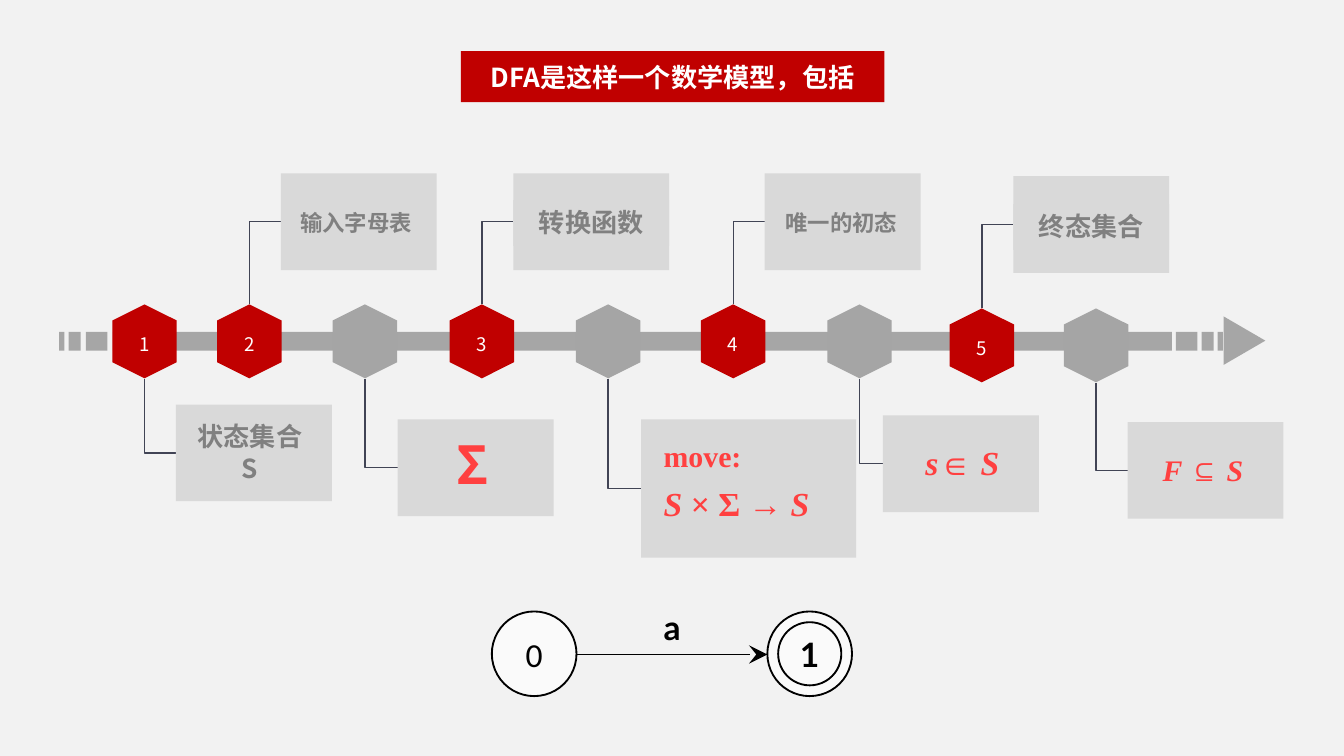
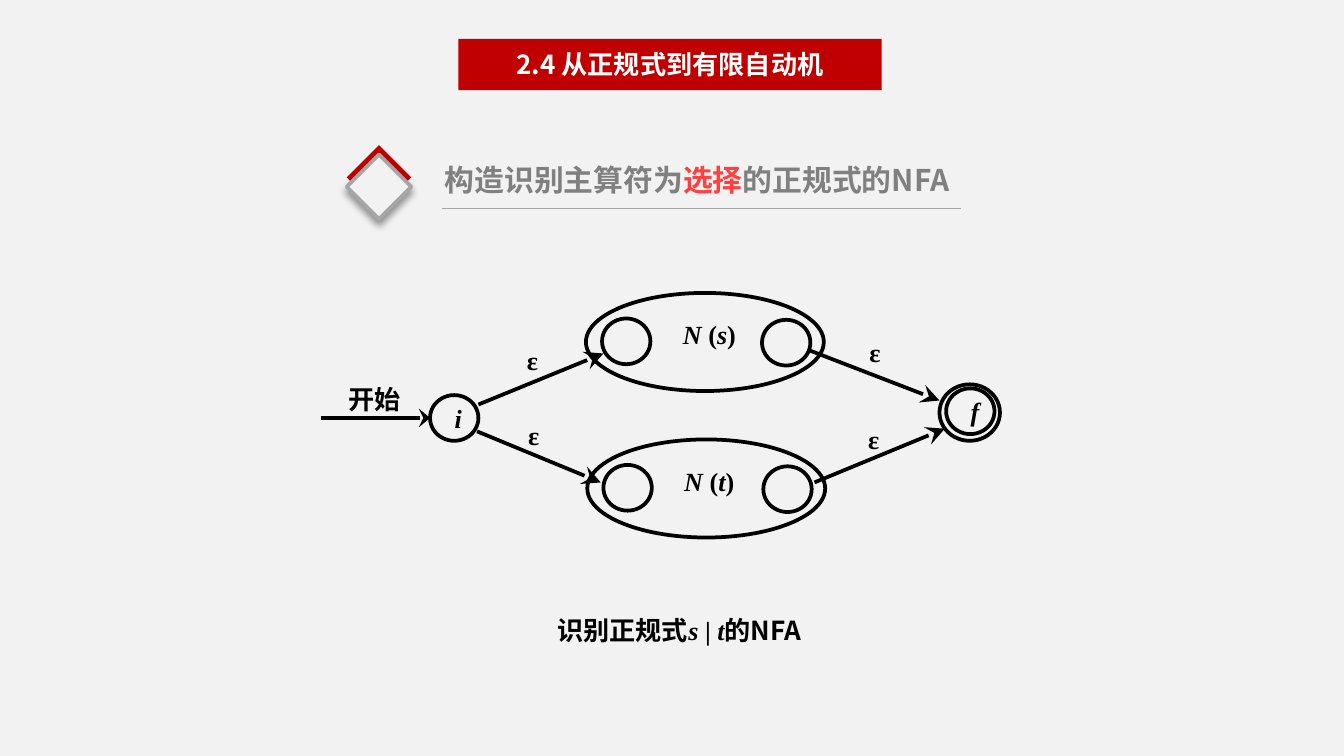
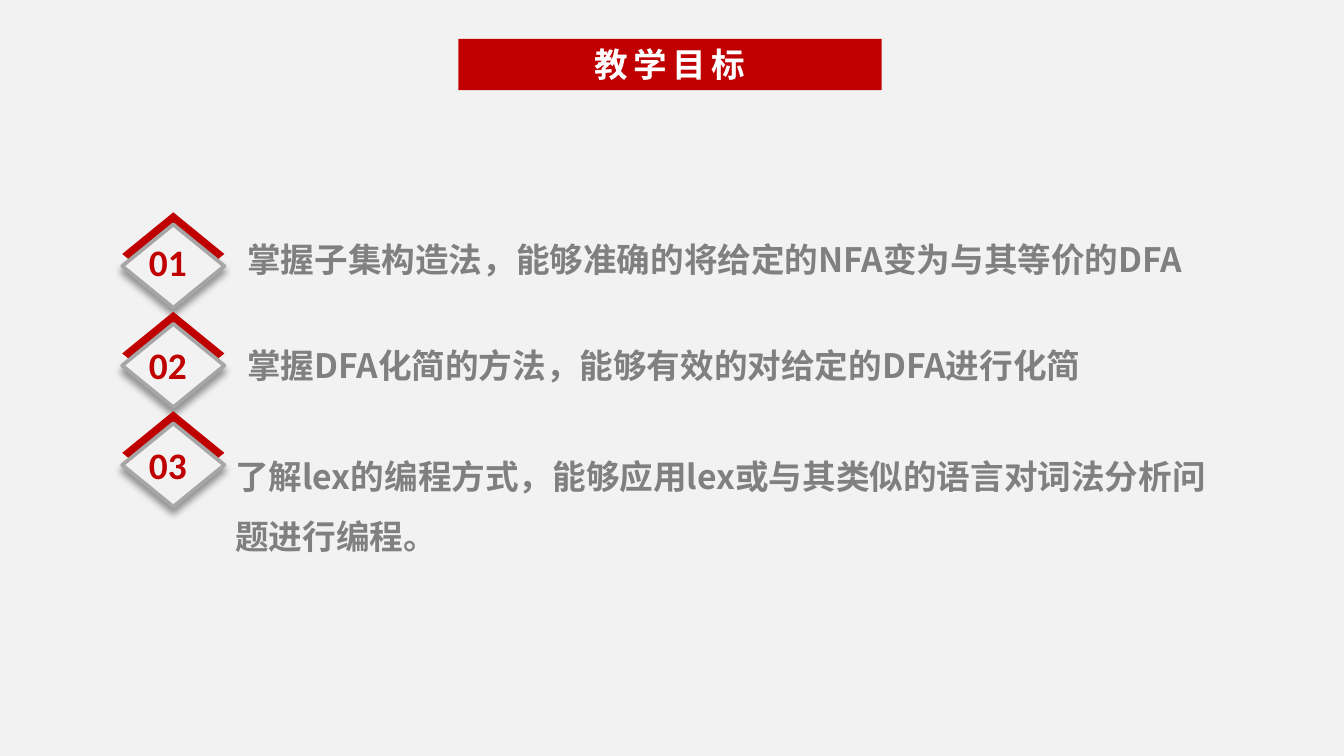
"""Build three lecture slides on finite automata and the goals of the chapter."""
from dataclasses import dataclass, field
from typing import Any, NamedTuple, Optional

from lxml import etree
from pptx import Presentation
from pptx.dml.color import RGBColor
from pptx.enum.shapes import MSO_CONNECTOR, MSO_SHAPE
from pptx.enum.text import MSO_ANCHOR, PP_ALIGN
from pptx.oxml.ns import qn
from pptx.util import Inches, Pt

COLORS = {
    "background": "F2F2F2", "red": "C00000", "accent": "FF4040", "text": "808080",
    "panel": "D9D9D9", "bar": "A6A6A6", "hexagon": "A5A5A5", "elbow": "414455",
    "state": "FAFAFA", "black": "000000", "white": "FFFFFF",
}
CHINESE, SERIF, SANS, ROUND = "Noto Sans CJK SC", "Times New Roman", "Calibri", "Lato"
RECTANGLE, OVAL = MSO_SHAPE.RECTANGLE, MSO_SHAPE.OVAL
HEXAGON, DIAMOND = MSO_SHAPE.HEXAGON, MSO_SHAPE.FLOWCHART_DECISION
TRIANGLE = MSO_SHAPE.ISOSCELES_TRIANGLE
STRAIGHT, ELBOW = MSO_CONNECTOR.STRAIGHT, MSO_CONNECTOR.ELBOW
LEFT, CENTER, JUSTIFY = PP_ALIGN.LEFT, PP_ALIGN.CENTER, PP_ALIGN.JUSTIFY
TOP, MIDDLE = MSO_ANCHOR.TOP, MSO_ANCHOR.MIDDLE
TEXT_INSETS = (0.1, 0.05, 0.1, 0.05)
TITLE_INSETS = (0.07, 0.04, 0.07, 0.04)
LABEL_INSETS = (0.06, 0.03, 0.06, 0.03)


class Box(NamedTuple):
    """Left, top, width and height in inches."""
    left: float
    top: float
    width: float
    height: float


class Run(NamedTuple):
    """A piece of text and its font values."""
    text: str
    font: dict[str, Any]


@dataclass
class Text:
    """Paragraphs of runs and how they are set in their box."""
    paragraphs: list[list[Run]]
    alignment: PP_ALIGN = CENTER
    anchor: MSO_ANCHOR = TOP
    insets: tuple[float, float, float, float] = TEXT_INSETS
    paragraph_format: dict[str, Any] = field(default_factory=dict)
    spacing: int = 0


@dataclass
class Stage:
    """A hexagon on the timeline with its number, panel and caption."""
    left: float
    panel: Box
    caption_box: Box
    caption: Text
    number: str = ""
    top: float = 2.3


def font(name: str, size: float, color: str, bold: bool = True,
         italic: bool = False) -> dict[str, Any]:
    """Return font values for a run."""
    return {"name": name, "size": Pt(size), "bold": bold, "italic": italic, "color": color}


def plain(text: str, values: dict[str, Any], **options: Any) -> Text:
    """Return a text of one run."""
    return Text([[Run(text, values)]], **options)


def formula(pieces: list[str], size: float, color: str) -> list[Run]:
    """Return serif runs that alternate between italic and upright."""
    return [Run(piece, font(SERIF, size, color, italic=index % 2 == 0))
            for index, piece in enumerate(pieces)]


def rgb(name: str) -> RGBColor:
    """Return a named colour."""
    return RGBColor.from_string(COLORS[name])


def write_text(shape: Any, text: Text) -> None:
    """Fill a shape with formatted paragraphs."""
    frame = shape.text_frame
    frame_format = {"word_wrap": True, "vertical_anchor": text.anchor}
    sides = ("margin_left", "margin_top", "margin_right", "margin_bottom")
    frame_format.update(zip(sides, map(Inches, text.insets)))
    for name, value in frame_format.items():
        setattr(frame, name, value)
    for index, runs in enumerate(text.paragraphs):
        paragraph = frame.add_paragraph() if index else frame.paragraphs[0]
        paragraph.alignment = text.alignment
        for name, value in text.paragraph_format.items():
            if index or name != "space_before":
                setattr(paragraph, name, value)
        for piece in runs:
            run = paragraph.add_run()
            run.text = piece.text
            for name, value in piece.font.items():
                if name == "color":
                    run.font.color.rgb = rgb(value)
                else:
                    setattr(run.font, name, value)
            properties = run._r.get_or_add_rPr()
            etree.SubElement(properties, qn("a:ea"), typeface=piece.font["name"])
            if text.spacing:
                properties.set("spc", str(text.spacing))


def add_shape(slide: Any, kind: MSO_SHAPE, box: Box, fill: Optional[str] = None,
              line: Optional[str] = None, width: float = 1,
              text: Optional[Text] = None, rotation: float = 0) -> Any:
    """Draw a preset shape."""
    shape = slide.shapes.add_shape(kind, *map(Inches, box))
    shape.shadow.inherit = False
    shape.rotation = rotation
    if fill:
        shape.fill.solid()
        shape.fill.fore_color.rgb = rgb(fill)
    else:
        shape.fill.background()
    if line:
        shape.line.color.rgb = rgb(line)
        shape.line.width = Pt(width)
    else:
        shape.line.fill.background()
    if text:
        write_text(shape, text)
    return shape


def add_text(slide: Any, box: Box, text: Text) -> None:
    """Draw a text box."""
    write_text(slide.shapes.add_textbox(*map(Inches, box)), text)


def add_line(slide: Any, start: tuple[float, float], end: tuple[float, float],
             color: str = "black", width: float = 2, arrow_length: str = "lg",
             kind: MSO_CONNECTOR = STRAIGHT) -> Any:
    """Draw a connector, with an arrowhead unless its length is empty."""
    connector = slide.shapes.add_connector(kind, *map(Inches, (*start, *end)))
    connector.line.color.rgb = rgb(color)
    connector.line.width = Pt(width)
    properties = connector._element.spPr
    if arrow_length:
        etree.SubElement(properties.find(qn("a:ln")), qn("a:tailEnd"),
                         type="stealth", w="lg", len=arrow_length)
    etree.SubElement(properties, qn("a:effectLst"))
    return connector


def add_elbow(slide: Any, start: tuple[float, float], end: tuple[float, float]) -> None:
    """Draw a line that goes up or down and then turns right."""
    connector = add_line(slide, start, end, "elbow", 0.75, "", ELBOW)
    run, rise = end[0] - start[0], abs(end[1] - start[1])
    connector.left = Inches((start[0] + end[0] - rise) / 2)
    connector.top = Inches((start[1] + end[1] - run) / 2)
    connector.width, connector.height = Inches(rise), Inches(run)
    upward = end[1] < start[1]
    properties = connector._element.spPr
    properties.find(qn("a:prstGeom")).set("prst", "bentConnector2")
    transform = properties.find(qn("a:xfrm"))
    transform.set("rot", str((90 if upward else 270) * 60000))
    transform.set("flipH", "1")
    transform.set("flipV", "1" if upward else "0")


def add_title(slide: Any, title: str, left: float = 3.41, top: float = 0.29,
              size: float = 14, spacing: int = 0) -> None:
    """Draw the red title band."""
    text = plain(title, font(CHINESE, size, "white"), anchor=MIDDLE,
                 insets=TITLE_INSETS, spacing=spacing)
    add_shape(slide, RECTANGLE, Box(left, top, 3.15, 0.38), "red", text=text)


def add_diamond(slide: Any, box: Box, drop: float) -> None:
    """Draw a shadowed diamond over a red one."""
    add_shape(slide, DIAMOND, box, "red")
    front = add_shape(slide, DIAMOND, box._replace(top=box.top + drop), "background", "bar", 2)
    effects = front._element.spPr.find(qn("a:effectLst"))
    shadow = etree.SubElement(effects, qn("a:outerShdw"), blurRad=str(Pt(4)),
                              dist=str(Pt(3)), dir=str(90 * 60000), rotWithShape="0")
    color = etree.SubElement(shadow, qn("a:srgbClr"), val=COLORS["black"])
    etree.SubElement(color, qn("a:alpha"), val="40000")


def add_stage(slide: Any, stage: Stage) -> None:
    """Draw one stage of the timeline."""
    center = stage.left + 0.55 / 2
    above = stage.panel.top < stage.top
    start = stage.top + (-0.04 if above else 0.52)
    middle = stage.panel.top + stage.panel.height / 2
    add_elbow(slide, (center, start), (stage.panel.left, middle))
    add_shape(slide, HEXAGON, Box(stage.left, stage.top, 0.55, 0.48),
              "red" if stage.number else "hexagon", rotation=90)
    if stage.number:
        add_text(slide, Box(stage.left + 0.04, stage.top + 0.13, 0.47, 0.27),
                 plain(stage.number, font(CHINESE, 10, "white", bold=False)))
    add_shape(slide, RECTANGLE, stage.panel, "panel")
    add_shape(slide, RECTANGLE, stage.caption_box, "panel", text=stage.caption)


def panel(left: float, top: float) -> Box:
    """Return a panel of the usual size."""
    return Box(left, top, 1.16, 0.72)


def caption(text: str, size: float) -> Text:
    """Return a grey panel caption."""
    return plain(text, font(CHINESE, size, "text"))


STAGES = [
    Stage(0.8, panel(1.31, 3.01), Box(1.32, 3.08, 1.08, 0.57), caption("状态集合S", 14), "1"),
    Stage(1.58, panel(2.09, 1.29), Box(2.11, 1.51, 1.08, 0.3), caption("输入字母表", 12), "2"),
    Stage(3.31, panel(3.82, 1.29), Box(3.82, 1.49, 1.16, 0.34), caption("转换函数", 14), "3"),
    Stage(5.18, panel(5.69, 1.29), Box(5.71, 1.51, 1.1, 0.3), caption("唯一的初态", 12), "4"),
    Stage(2.44, panel(2.96, 3.12), Box(3.16, 3.17, 0.71, 0.57),
          plain("Σ", font(CHINESE, 28, "accent"))),
    Stage(4.25, Box(4.77, 3.12, 1.6, 1.03), Box(4.84, 3.21, 1.5, 0.74),
          Text([[Run("move:", font(SERIF, 16, "accent"))],
                formula(["S ", "× Σ → ", "S"], 18, "accent")],
               JUSTIFY, paragraph_format={"space_before": Pt(5)})),
    Stage(7.03, panel(7.54, 1.31), Box(7.54, 1.52, 1.16, 0.34), caption("终态集合", 14), "5", 2.33),
    Stage(7.88, panel(8.39, 3.14), Box(8.44, 3.31, 1.02, 0.37),
          Text([formula(["F ", "⊆", " S"], 16, "accent")]), top=2.33),
    Stage(6.12, panel(6.57, 3.09), Box(6.65, 3.24, 1.02, 0.4),
          Text([formula(["s", "∈ ", "S"], 18, "accent")])),
]
AXIS_PIECES = [(0.44, 0.04), (0.51, 0.09), (0.64, 0.16), (0.84, 7.88),
               (8.75, 0.16), (8.94, 0.09), (9.06, 0.04)]
EPSILONS = [(3.86, 2.53), (3.87, 3.09), (6.41, 2.47), (6.4, 3.12)]
MOVES = [((3.56, 3.01), (4.49, 2.63)), ((3.55, 3.21), (4.47, 3.59)),
         ((6.06, 3.59), (7.03, 3.19)), ((6.03, 2.61), (6.99, 2.98))]
GOALS = [
    ("01", 1.73, Box(1.77, 1.74, 7.44, 0.37), 1.0,
     "掌握子集构造法，能够准确的将给定的NFA变为与其等价的DFA"),
    ("02", 2.5, Box(1.77, 2.53, 7.83, 0.37), 1.0,
     "掌握DFA化简的方法，能够有效的对给定的DFA进行化简"),
    ("03", 3.24, Box(1.68, 3.2, 7.52, 0.96), 1.5,
     "了解lex的编程方式，能够应用lex或与其类似的语言对词法分析问题进行编程。"),
]


def new_slide(presentation: Any) -> Any:
    """Add a blank slide with the shared background."""
    slide = presentation.slides.add_slide(presentation.slide_layouts[6])
    slide.background.fill.solid()
    slide.background.fill.fore_color.rgb = rgb("background")
    return slide


def build_model(slide: Any) -> None:
    """Draw the parts of a DFA along a timeline."""
    states = [(Box(3.66, 4.55, 0.63, 0.63), "0", SANS, False),
              (Box(5.71, 4.55, 0.63, 0.63), "", ROUND, True),
              (Box(5.79, 4.63, 0.47, 0.47), "1", ROUND, True)]
    for box, name, typeface, bold in states:
        text = plain(name, font(typeface, 18, "black", bold), anchor=MIDDLE,
                     insets=(0, 0, 0, 0)) if name else None
        add_shape(slide, OVAL, box, "state", "black", text=text)
    add_line(slide, (4.29, 4.87), (5.71, 4.87), width=1)
    add_text(slide, Box(4.84, 4.47, 0.35, 0.4),
             plain("a", font(ROUND, 18, "black"), alignment=LEFT))
    for left, width in AXIS_PIECES:
        add_shape(slide, RECTANGLE, Box(left, 2.47, width, 0.14), "bar")
    add_shape(slide, TRIANGLE, Box(9.08, 2.38, 0.36, 0.31), "bar", rotation=90)
    for stage in STAGES:
        add_stage(slide, stage)
    add_title(slide, "DFA是这样一个数学模型，包括", 3.43, 0.38)


def add_state(slide: Any, left: float, top: float, name: str = "") -> None:
    """Draw a state of the NFA."""
    text = Text([formula([name], 14, "black")], LEFT, MIDDLE,
                (0.13, 0.03, 0, 0.03)) if name else None
    add_shape(slide, OVAL, Box(left, top, 0.36, 0.34), line="black", width=2, text=text)


def add_automaton(slide: Any, left: float, top: float, name: str) -> None:
    """Draw an inner automaton with its first and last states."""
    add_shape(slide, OVAL, Box(left, top, 1.77, 0.73), line="black", width=2)
    add_state(slide, left + 0.12, top + 0.19)
    add_state(slide, left + 1.31, top + 0.2)
    add_text(slide, Box(left + 0.63, top + 0.16, 0.62, 0.41),
             Text([formula(["N ", "(", name, ")"], 14, "black")], JUSTIFY,
                  insets=(0.09, 0.03, 0.1, 0.05)))


def build_choice(slide: Any) -> None:
    """Draw the NFA for a choice of two expressions."""
    add_title(slide, "2.4 从正规式到有限自动机")
    gray, accent = font(CHINESE, 16, "text"), font(CHINESE, 16, "accent")
    heading = [Run("构造识别主算符为", gray), Run("选择", accent), Run("的正规式的NFA", gray)]
    add_text(slide, Box(3.24, 1.16, 4.05, 0.34), Text([heading], LEFT, insets=TITLE_INSETS))
    add_line(slide, (3.29, 1.55), (7.15, 1.55), "bar", 0.75, "")
    add_diamond(slide, Box(2.58, 1.08, 0.48, 0.48), 0.07)
    add_line(slide, (2.39, 3.11), (3.2, 3.11), arrow_length="med")
    add_shape(slide, OVAL, Box(6.99, 2.86, 0.45, 0.42), line="black", width=2)
    add_state(slide, 7.04, 2.89, "f")
    add_state(slide, 3.2, 2.94, "i")
    add_automaton(slide, 4.36, 2.18, "s")
    add_automaton(slide, 4.37, 3.27, "t")
    for start, end in MOVES:
        add_line(slide, start, end)
    for left, top in EPSILONS:
        add_text(slide, Box(left, top, 0.3, 0.27),
                 plain("ε", font(SERIF, 14, "black"), alignment=JUSTIFY, insets=LABEL_INSETS))
    black = font(CHINESE, 14, "black")
    add_text(slide, Box(2.53, 2.82, 0.59, 0.32),
             plain("开始", black, alignment=JUSTIFY, insets=LABEL_INSETS))
    note = [Run("识别正规式", black), *formula(["s ", "| ", "t"], 14, "black"), Run("的NFA", black)]
    add_text(slide, Box(3.7, 4.54, 2.71, 0.28), Text([note], insets=LABEL_INSETS))


def build_goals(slide: Any) -> None:
    """Draw the numbered teaching goals."""
    for index, (number, number_top, box, line_spacing, goal) in enumerate(GOALS):
        add_text(slide, box, plain(goal, font(CHINESE, 18, "text"), alignment=LEFT,
                                   insets=TITLE_INSETS,
                                   paragraph_format={"line_spacing": line_spacing}))
        add_diamond(slide, Box(0.91, 1.58 + 0.74 * index, 0.76, 0.62), 0.09)
        add_text(slide, Box(1.01, number_top, 0.59, 0.44),
                 plain(number, font(SANS, 20, "red"), alignment=LEFT))
    add_title(slide, "教学目标", size=18, spacing=300)


def main() -> None:
    """Build and save the presentation."""
    presentation = Presentation()
    presentation.slide_width = Inches(10)
    presentation.slide_height = presentation.slide_width * 9 // 16
    for build in (build_model, build_choice, build_goals):
        build(new_slide(presentation))
    presentation.save("out.pptx")


if __name__ == "__main__":
    main()
